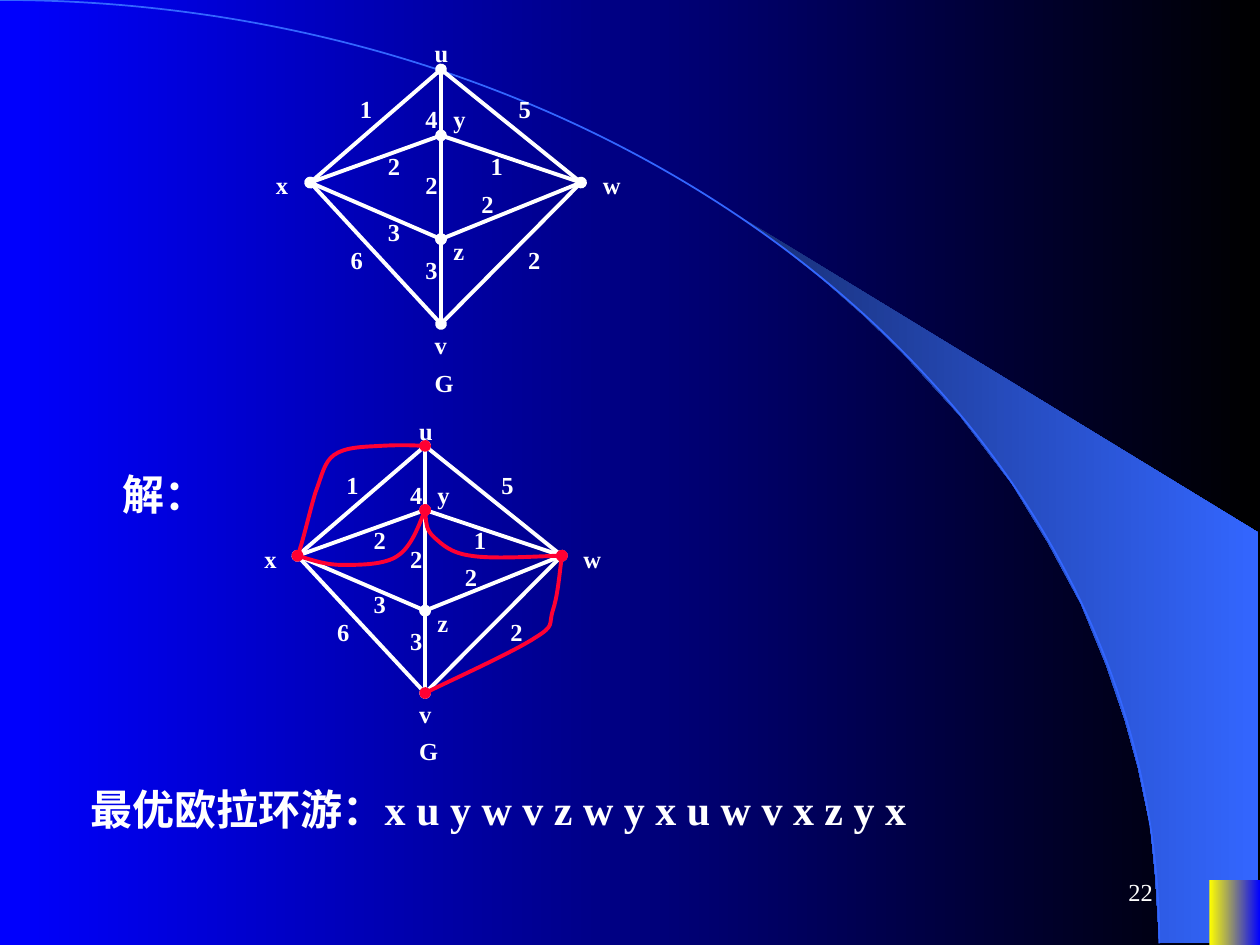
import dataclasses

import pptx
import pptx.dml.color
import pptx.enum.shapes
import pptx.enum.text
import pptx.oxml.ns
import pptx.oxml.xmlchemy
import pptx.util

Cm = pptx.util.Cm
Pt = pptx.util.Pt
qn = pptx.oxml.ns.qn
rgb = pptx.dml.color.RGBColor.from_string


@dataclasses.dataclass(frozen=True)
class Theme:
    font: str = "Times New Roman"
    white: str = "FFFFFF"
    black: str = "000000"
    blue: str = "0000FF"
    sky: str = "3366FF"
    navy: str = "182F76"
    yellow: str = "FFFF00"
    red: str = "FF0033"
    label_size: int = 14
    body_size: int = 24
    arc_width: float = 1
    edge_width: float = 2.25


theme = Theme()
presentation = pptx.Presentation()
presentation.slide_width = Cm(25.4)
presentation.slide_height = Cm(19.05)
slide = presentation.slides.add_slide(presentation.slide_layouts[6])
shapes = slide.shapes


def add_text(text, left, top, width, height, size=theme.label_size, bold=True):
    shape = shapes.add_textbox(Cm(left), Cm(top), Cm(width), Cm(height))
    shape.text_frame.word_wrap = True
    shape.text_frame.text = text
    font = shape.text_frame.paragraphs[0].runs[0].font
    font.name, font.size, font.bold = theme.font, Pt(size), bold
    font.color.rgb = rgb(theme.white)
    return shape


def add_curve(points, color, width):
    """Draw an open Bezier chain: a start point, then three points per segment."""
    corners = [(Cm(x), Cm(y)) for x, y in points]
    builder = shapes.build_freeform(*corners[0], scale=1.0)
    builder.add_line_segments(corners[1:], close=False)
    shape = builder.convert_to_shape()
    shape.shadow.inherit = False
    shape.fill.background()
    shape.line.color.rgb = rgb(color)
    shape.line.width = Pt(width)
    path = shape.element.find(".//" + qn("a:path"))
    segments = path.findall(qn("a:lnTo"))
    for first in range(0, len(segments), 3):
        bezier = path.makeelement(qn("a:cubicBezTo"))
        path.append(bezier)
        for segment in segments[first:first + 3]:
            bezier.append(segment[0])
            path.remove(segment)
    return shape


# Backdrop: wing, arc and corner marker
wing_points = [
    (23.37, 19), (25.37, 19.02), (25.37, 10.74), (14.96, 4.39), (15.85, 5.05),
    (16.59, 5.64), (17.4, 6.35), (18.19, 7.11), (19.35, 8.38), (20.4, 9.75),
    (21.13, 10.95), (21.79, 12.17), (22.3, 13.41), (22.68, 14.53),
    (22.94, 15.47), (23.19, 16.66), (23.29, 17.68),
]
corners = [(Cm(x), Cm(y)) for x, y in wing_points]
builder = shapes.build_freeform(*corners[0], scale=1.0)
builder.add_line_segments(corners[1:], close=True)
wing = builder.convert_to_shape()
add_curve([(0, 0), (12.9, 0), (23.37, 8.51), (23.37, 19.02)], theme.sky, theme.arc_width)
marker = shapes.add_shape(
    pptx.enum.shapes.MSO_SHAPE.RECTANGLE, Cm(24.38), Cm(17.74), Cm(1.02), Cm(1.31))
for shape in (wing, marker):
    shape.shadow.inherit = False
    shape.line.fill.background()

for fill, colors in (
    (slide.background.fill, (theme.blue, theme.black)),
    (wing.fill, (theme.navy, theme.sky)),
    (marker.fill, (theme.yellow, theme.blue)),
):
    fill.gradient()
    fill.gradient_angle = 0
    for stop, position, color in zip(fill.gradient_stops, (0, 1), colors):
        stop.position = position
        stop.color.rgb = rgb(color)

number = add_text("22", 18.21, 17.35, 5.28, 1.27, bold=False)
number.text_frame.vertical_anchor = pptx.enum.text.MSO_ANCHOR.MIDDLE
number.text_frame.paragraphs[0].alignment = pptx.enum.text.PP_ALIGN.RIGHT
add_text("解：", 2.22, 9.32, 20, 1.27, theme.body_size)

# Weighted graph on a grid 29 columns wide and 27 rows high, with u at (0, 0)
columns, rows = 29, 27
nodes = {"u": (0, 0), "y": (0, 7), "x": (-14, 12), "w": (15, 12), "z": (0, 18), "v": (0, 27)}
edges = ["xz", "ux", "uy", "xy", "yz", "zv", "xv", "uw", "yw", "wz", "wv"]
edges_with_dots = {"ux", "yz", "xv", "wz"}
labels = [
    ("y", 0, 3), ("u", -2, -4), ("w", 16, 10), ("x", -19, 10), ("v", -2, 27),
    ("G", -2, 31), ("z", 0, 17), ("2", 8, 18), ("2", 3, 12), ("2", -3, 10),
    ("2", -7, 8), ("1", 4, 8), ("1", -10, 2), ("4", -3, 3), ("3", -7, 15),
    ("3", -3, 19), ("6", -11, 18), ("5", 7, 2),
]
repeated_edges = [
    [(0, 0), (-1.7, -0.1), (-3.3, -0.1), (-5, 0), (-6.6, 0.1), (-8.8, 0.1), (-10, 1),
     (-11.1, 1.8), (-11.3, 3.2), (-12, 5), (-12.6, 6.9), (-13.5, 10.9), (-14, 12)],
    [(-14, 12), (-12.3, 12.5), (-10.8, 13), (-9, 13), (-7.2, 13), (-4.4, 13), (-3, 12),
     (-1.5, 11), (-0.4, 7.9), (0, 7)],
    [(0, 7), (0.1, 8.1), (0.1, 9.2), (1, 10), (1.9, 10.8), (2.8, 11.7), (5, 12),
     (7.3, 12.4), (13.4, 12), (15, 12)],
    [(15, 12), (14.7, 14.3), (14.5, 16.5), (14, 18), (13.5, 19.6), (14.3, 19.6), (12, 21),
     (9.7, 22.5), (2, 26), (0, 27)],
]

dotted_lines = []
for left, top, width, height, curves in (
    (8.89, 1.4, 5.46, 5.13, []),
    (8.57, 8.99, 5.33, 4.98, repeated_edges),
):
    step_x, step_y = width / columns, height / rows
    for edge in edges:
        (x1, y1), (x2, y2) = (nodes[name] for name in edge)
        line = shapes.add_connector(
            pptx.enum.shapes.MSO_CONNECTOR.STRAIGHT,
            Cm(left + x1 * step_x), Cm(top + y1 * step_y),
            Cm(left + x2 * step_x), Cm(top + y2 * step_y))
        line.line.color.rgb = rgb(theme.white)
        line.line.width = Pt(theme.edge_width)
        properties = line.element.spPr
        properties.append(properties.makeelement(qn("a:effectLst")))
        if edge in edges_with_dots:
            dotted_lines.append(line)
    for text, x, y in labels:
        add_text(text, left + x * step_x, top + y * step_y, 0.9, 0.86)
    for curve in curves:
        points = [(left + x * step_x, top + y * step_y) for x, y in curve]
        dotted_lines.append(add_curve(points, theme.red, theme.edge_width))

for shape in dotted_lines:
    outline = shape.element.spPr.find(qn("a:ln"))
    for end in ("a:headEnd", "a:tailEnd"):
        outline.append(outline.makeelement(qn(end), {"type": "oval"}))

add_text("最优欧拉环游：x u y w v z w y x u w v x z y x", 1.58, 15.67, 21, 1.27, theme.body_size)

presentation.save("out.pptx")
